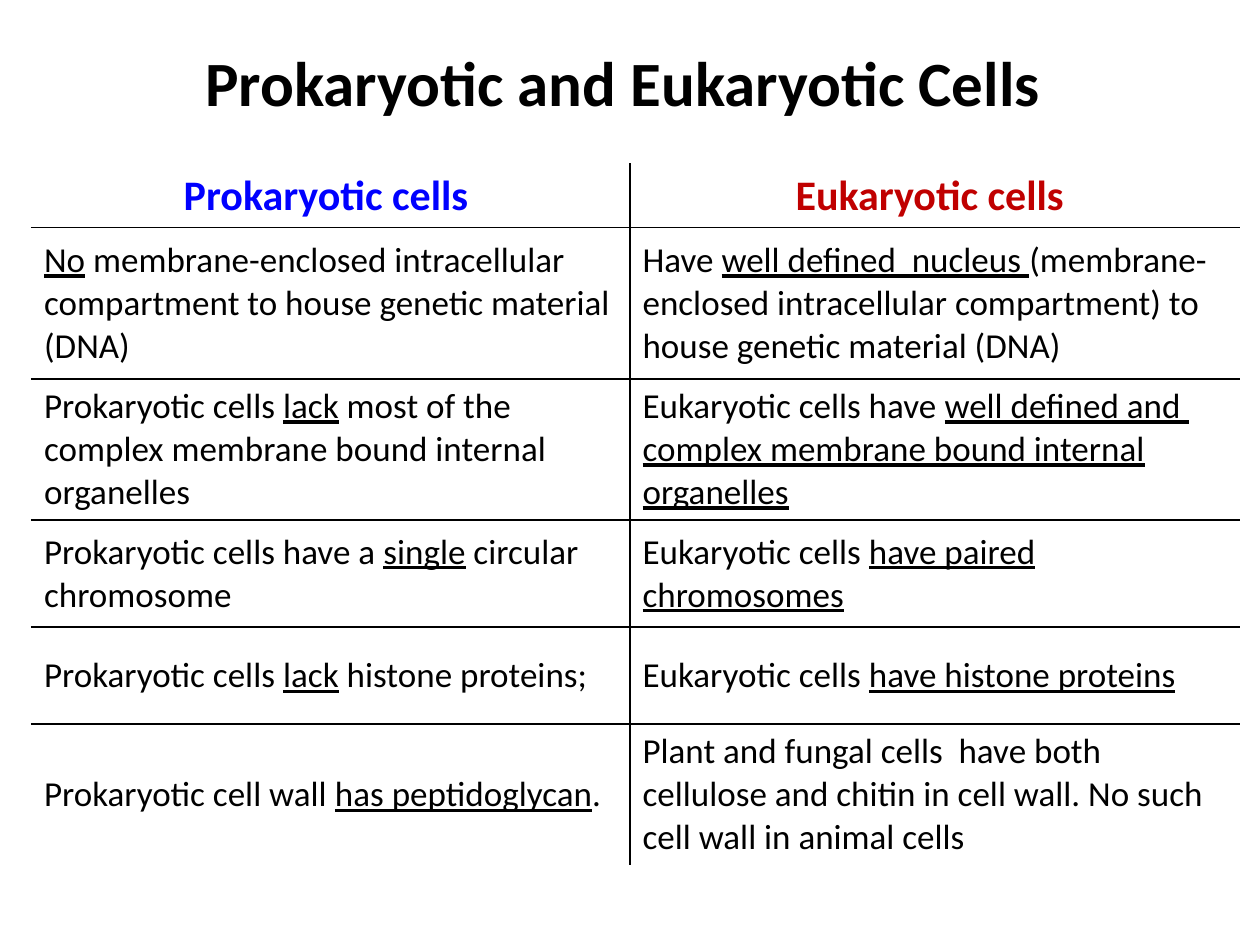
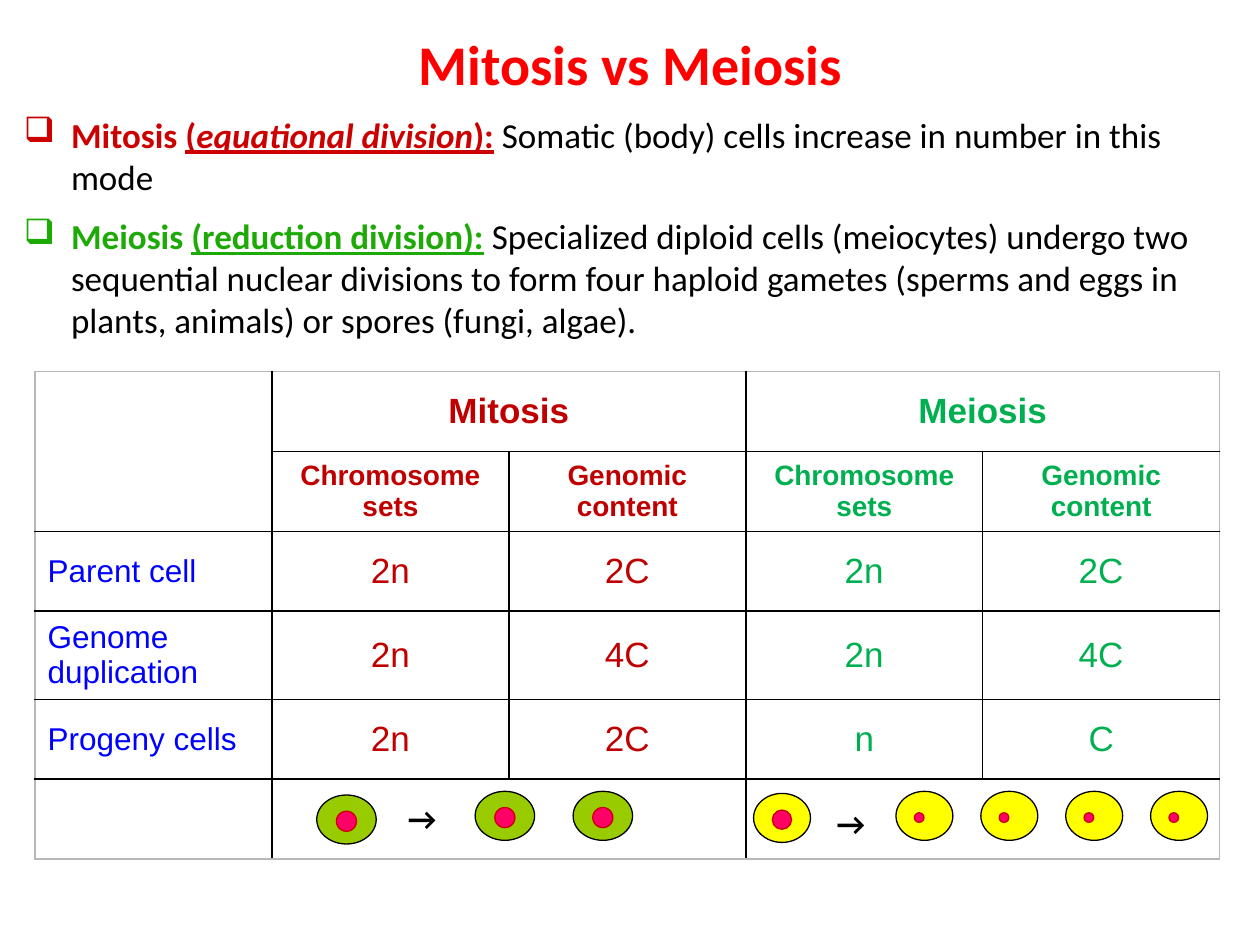
from dataclasses import dataclass
from lxml.etree import SubElement as Sub
from pptx import Presentation
from pptx.dml.color import RGBColor as Color
from pptx.enum.shapes import MSO_SHAPE as Shape
from pptx.enum.text import MSO_ANCHOR as Anchor, MSO_AUTO_SIZE as Fit, PP_ALIGN as Align
from pptx.oxml.ns import qn
from pptx.util import Pt


@dataclass(frozen=True)
class Theme:
    sans: str = "Calibri"
    grid: str = "Arial"
    black: str = "000000"
    white: str = "FFFFFF"
    gray: str = "B8B8B8"
    blue: str = "0000FF"
    red: str = "FF0000"
    dark: str = "C00000"
    rose: str = "CC0000"
    green: str = "00B050"
    leaf: str = "1DAA06"
    lime: str = "99CC00"
    lemon: str = "FFFF00"
    pink: str = "FF0066"
    title: int = 36
    sub: int = 32
    head: int = 24
    body: int = 20
    label: int = 18
    small: int = 16


T = Theme()

# Content: text between bars is underlined
HEADS = [("Prokaryotic cells ", T.blue), ("Eukaryotic cells ", T.dark)]
TRAITS = [
    ("|No| membrane-enclosed intracellular compartment to house genetic material (DNA)",
     "Have |well defined  nucleus |(membrane-enclosed intracellular compartment) "
     "to house genetic material (DNA)"),
    ("Prokaryotic cells |lack| most of the complex membrane bound internal organelles",
     "Eukaryotic cells have |well defined and  complex membrane bound internal organelles|"),
    ("Prokaryotic cells have a |single| circular chromosome",
     "Eukaryotic cells |have paired chromosomes|"),
    ("Prokaryotic cells |lack| histone proteins;",
     "Eukaryotic cells |have histone proteins|"),
    ("Prokaryotic cell wall |has peptidoglycan|.",
     "Plant and fungal cells  have both cellulose and chitin in cell wall. "
     "No such cell wall in animal cells"),
]
MODES = [
    (T.rose, [("Mitosis ", "b"), ("(", "bu"), ("equational division", "bui"), ("):", "bu")],
     "Somatic (body) cells increase in number in this mode"),
    (T.leaf, [("Meiosis ", "b"), ("(reduction division):", "bu")],
     "Specialized diploid cells (meiocytes) undergo two sequential nuclear divisions to form "
     "four haploid gametes (sperms and eggs in plants, animals) or spores (fungi, algae)."),
]
KINDS = [("Mitosis", T.dark), ("Meiosis", T.green)]
PARTS = ["Chromosome sets", "Genomic content"]
STAGES = [
    ("Parent cell", "2n", "2C", "2n", "2C"),
    ("Genome duplication", "2n", "4C", "2n", "4C"),
    ("Progeny cells", "2n", "2C", "n", "C"),
]

# Cell drawings: left, top, width, fill, nucleus size, nucleus shift
CELLS = [(181, 454.3, 34, T.lime, 11.5, 0)]
CELLS += [(271.5 + 56 * i, 452.2, 34, T.lime, 11.5, 0) for i in range(2)]
CELLS += [(430.6, 453.4, 32.5, T.lemon, 11, 0)]
CELLS += [(512 + 48.5 * i, 452.2, 32.5, T.lemon, 5.5, -3) for i in range(4)]
ARROWS = [(226, 453), (471, 455.8)]


# Text helpers
def paint(fill, tint):
    fill.solid()
    fill.fore_color.rgb = Color.from_string(tint)


def put(para, text, size, tint=T.black, style="", face=T.sans):
    run = para.add_run()
    run.text = text
    font = run.font
    font.name, font.size = face, Pt(size)
    font.bold, font.italic, font.underline = (k in style for k in "biu")
    font.color.rgb = Color.from_string(tint)


def name(page, text, box, size, tint):
    head = page.shapes.title
    head.left, head.top, head.width, head.height = map(Pt, box)
    frame = head.text_frame
    frame.auto_size, frame.word_wrap = Fit.NONE, True
    frame.vertical_anchor = Anchor.MIDDLE
    para = frame.paragraphs[0]
    para.alignment = Align.CENTER
    put(para, text, size, tint, "b")


def note(page, box, wrap=True):
    frame = page.shapes.add_textbox(*map(Pt, box)).text_frame
    frame.word_wrap = wrap
    return frame


# Table helpers
def grid(page, spot, cols, rows):
    table = page.shapes.add_table(len(rows), len(cols), *map(Pt, spot),
                                  Pt(sum(cols)), Pt(sum(rows))).table
    table.first_row = table.horz_banding = False
    for col, wide in zip(table.columns, cols):
        col.width = Pt(wide)
    for row, high in zip(table.rows, rows):
        row.height = Pt(high)
    return table


def rule(table, rim):
    """Black inner lines, and the rim colour around the outside."""
    wide, high = len(table.columns), len(table.rows)
    for r in range(high):
        for c in range(wide):
            cell = table.cell(r, c)
            outer = {"L": c == 0, "R": c + cell.span_width == wide,
                     "T": r == 0, "B": r + cell.span_height == high}
            props = cell._tc.get_or_add_tcPr()
            for side, edge in outer.items():
                line = Sub(props, qn("a:ln" + side), w=str(Pt(1)))
                fill = Sub(line, qn("a:solidFill"))
                Sub(fill, qn("a:srgbClr"), val=rim if edge else T.black)
            cell.fill.background()
            cell.vertical_anchor = Anchor.MIDDLE


def entry(cell, text, size, tint, style="", face=T.grid, align=Align.CENTER):
    para = cell.text_frame.paragraphs[0]
    para.alignment = align
    for i, part in enumerate(text.split("|")):
        if part:
            put(para, part, size, tint, style + "u" * (i % 2), face)


# Drawing helpers
def oval(shapes, box, fill, edge):
    disc = shapes.add_shape(Shape.OVAL, *map(Pt, box))
    disc.shadow.inherit = False
    paint(disc.fill, fill)
    paint(disc.line.fill, edge)
    disc.line.width = Pt(0.75)


def draw(page, x, y, wide, fill, core, shift, high=28):
    group = page.shapes.add_group_shape().shapes
    oval(group, (x, y, wide, high), fill, T.black)
    oval(group, (x + (wide - core) / 2 + shift, y + (high - core) / 2 + 1, core, core),
         T.pink, T.rose)


# Slides
def compare(page):
    name(page, "Prokaryotic and Eukaryotic Cells ", (107, 21, 506, 51), T.title, T.black)
    table = grid(page, (18, 93.6), (342, 348), (36, 86.4, 79.2, 61.2, 55.4, 79.2))
    for c, (text, tint) in enumerate(HEADS):
        entry(table.cell(0, c), text, T.head, tint, "b", T.sans)
    for r, pair in enumerate(TRAITS, 1):
        for c, text in enumerate(pair):
            entry(table.cell(r, c), text, T.body, T.black, "", T.sans, Align.LEFT)
    rule(table, T.white)


def divide(page):
    name(page, "Mitosis vs Meiosis", (8.6, 13, 703.4, 46), T.sub, T.red)

    # Bulleted modes
    frame = note(page, (6.5, 61.2, 706.3, 140.4))
    for i, (tint, lead, text) in enumerate(MODES):
        para = frame.add_paragraph() if i else frame.paragraphs[0]
        props = para._p.get_or_add_pPr()
        props.set("marL", str(Pt(27)))
        props.set("indent", str(Pt(-27)))
        Sub(props, qn("a:buChar"), char="❑")
        if i:
            para.space_before = Pt(10)
        for part, style in lead:
            put(para, part, T.body, tint, style)
        put(para, " " + text, T.body)

    # Stage table
    table = grid(page, (20, 212.4), [135.4] * 5, [45.6, 45.6, 45.6, 50.4, 45.6, 45.6])
    table.cell(0, 0).merge(table.cell(1, 0))
    for k, (kind, tint) in enumerate(KINDS):
        left = 1 + 2 * k
        for r in (0, 5):
            table.cell(r, left).merge(table.cell(r, left + 1))
        entry(table.cell(0, left), kind, T.body, tint, "b")
        for i, part in enumerate(PARTS):
            entry(table.cell(1, left + i), part, T.small, tint, "b")
    for r, (stage, *counts) in enumerate(STAGES, 2):
        entry(table.cell(r, 0), stage, T.label, T.blue, align=Align.LEFT)
        for c, count in enumerate(counts):
            entry(table.cell(r, c + 1), count, T.body, KINDS[c // 2][1])
    rule(table, T.gray)

    # Dividing cells
    for cell in CELLS:
        draw(page, *cell)
    for x, y in ARROWS:
        put(note(page, (x, y, 32.4, 29), False).paragraphs[0], "→", T.label, style="b")


def main():
    deck = Presentation()
    deck.slide_width, deck.slide_height = Pt(720), Pt(540)
    for build in (compare, divide):
        page = deck.slides.add_slide(deck.slide_layouts[5])
        paint(page.background.fill, T.white)
        build(page)
    deck.save("out.pptx")


if __name__ == "__main__":
    main()
